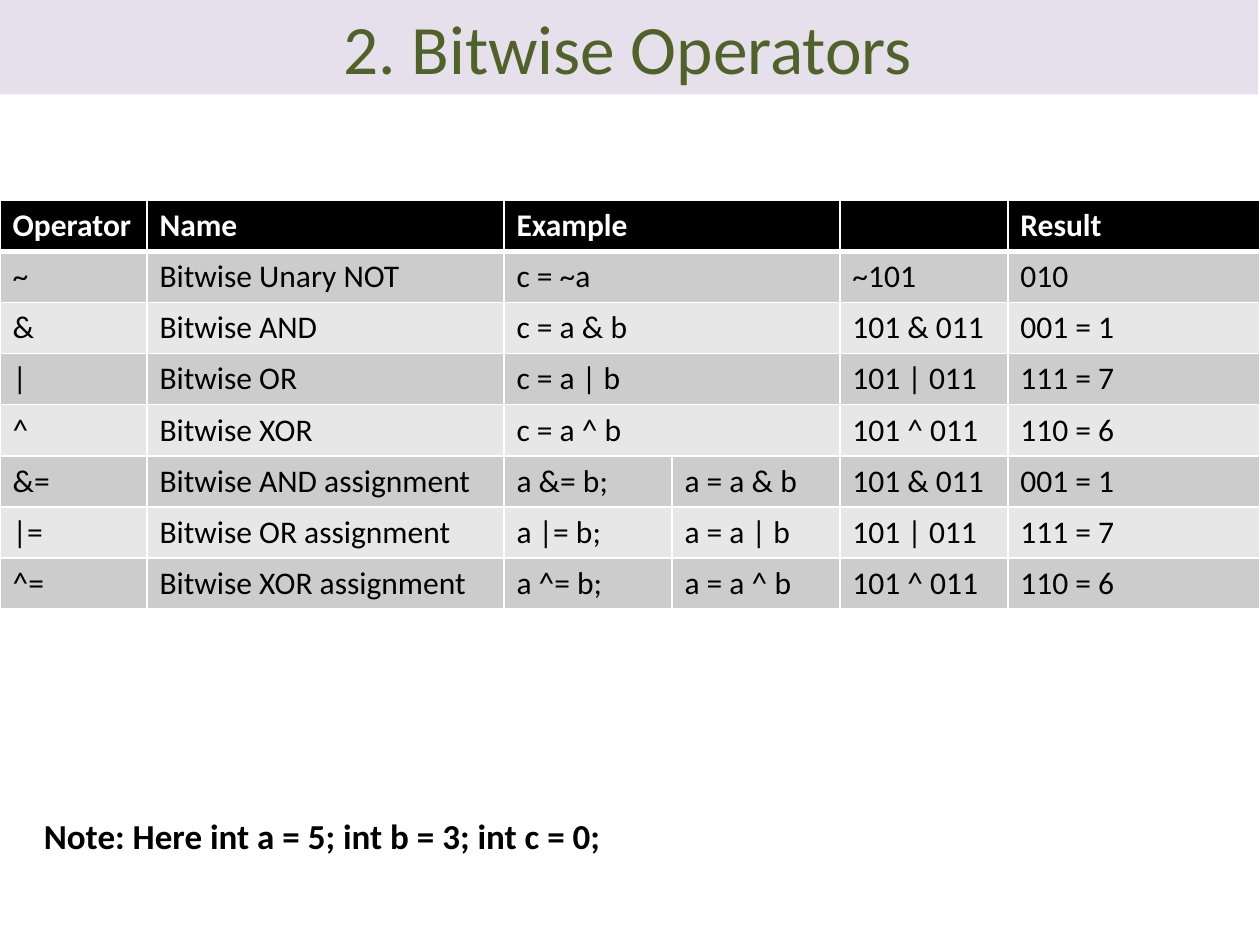
from lxml import etree
from pptx import Presentation
from pptx.dml.color import RGBColor
from pptx.enum import text
from pptx.oxml import ns
from pptx.util import Pt

FONT = "Calibri"
HUES = {"band": "E6E0EC", "title": "4F6228", "head": "000000", "ink": "000000",
        "odd": "CCCCCC", "even": "E7E7E7", "white": "FFFFFF"}
COLS = [84, 204, 96, 96, 96, 144]
ROWS = [
    ["Operator", "Name", "Example", None, "", "Result"],
    ["~", "Bitwise Unary NOT", "c = ~a", None, "~101", "010"],
    ["&", "Bitwise AND", "c = a & b", None, "101 & 011", "001 = 1"],
    ["|", "Bitwise OR", "c = a | b", None, "101 | 011", "111 = 7"],
    ["^", "Bitwise XOR", "c = a ^ b", None, "101 ^ 011", "110 = 6"],
    ["&=", "Bitwise AND assignment", "a &= b;", "a = a & b", "101 & 011", "001 = 1"],
    ["|=", "Bitwise OR assignment", "a |= b;", "a = a | b", "101 | 011", "111 = 7"],
    ["^=", "Bitwise XOR assignment", "a ^= b;", "a = a ^ b", "101 ^ 011", "110 = 6"],
]


def color(name):
    """Return the named colour."""
    return RGBColor.from_string(HUES[name])


def write(para, words, size, hue, bold=False):
    """Add one styled run to a paragraph."""
    run = para.add_run()
    run.text = words
    font = run.font
    font.name, font.size, font.bold = FONT, Pt(size), bold
    font.color.rgb = color(hue)


def rule(cell, side, width):
    """Give one side of a cell a solid white border."""
    line = etree.SubElement(cell._tc.get_or_add_tcPr(), ns.qn(f"a:ln{side}"),
                            w=str(Pt(width)))
    fill = etree.SubElement(line, ns.qn("a:solidFill"))
    etree.SubElement(fill, ns.qn("a:srgbClr"), val=HUES["white"])


def head(slide, left, top, width, height):
    """Format the title as a tinted band."""
    title = slide.shapes.title
    title.left, title.top, title.width, title.height = map(Pt, (left, top, width, height))
    title.fill.solid()
    title.fill.fore_color.rgb = color("band")
    frame = title.text_frame
    frame.auto_size = text.MSO_AUTO_SIZE.NONE
    frame.vertical_anchor = text.MSO_ANCHOR.MIDDLE
    para = frame.paragraphs[0]
    para.alignment = text.PP_ALIGN.CENTER
    write(para, "2. Bitwise Operators", 39.6, "title")


def grid(slide, left, top, width, height):
    """Build the operator table, merging example cells that have no second part."""
    table = slide.shapes.add_table(len(ROWS), len(COLS), Pt(left), Pt(top),
                                   Pt(width), Pt(height)).table
    for col, size in zip(table.columns, COLS):
        col.width = Pt(size * width / sum(COLS))
    for r, row in enumerate(ROWS):
        table.rows[r].height = Pt(height / len(ROWS))
        hue = "head" if r == 0 else "odd" if r % 2 else "even"
        for c, words in enumerate(row):
            cell = table.cell(r, c)
            for side in "LRTB":
                thick = (r, side) in ((0, "B"), (1, "T"))
                rule(cell, side, 3 if thick else 1)
            cell.fill.solid()
            cell.fill.fore_color.rgb = color(hue)
            if words:
                write(cell.text_frame.paragraphs[0], words, 18,
                      "ink" if r else "white", r == 0)
            elif words is None:
                table.cell(r, c - 1).merge(cell)


def note(slide, left, top, width, height):
    """Place the note on the starting values."""
    box = slide.shapes.add_textbox(Pt(left), Pt(top), Pt(width), Pt(height))
    frame = box.text_frame
    frame.word_wrap = True
    frame.auto_size = text.MSO_AUTO_SIZE.SHAPE_TO_FIT_TEXT
    write(frame.paragraphs[0], "Note: Here int a = 5; int b = 3; int c = 0;",
          20, "ink", True)


def main():
    """Build and save the slide."""
    deck = Presentation()
    deck.slide_width, deck.slide_height = Pt(720), Pt(540)
    slide = deck.slides.add_slide(deck.slide_layouts[5])
    head(slide, -1.2, 0, 720, 54)
    grid(slide, 0, 114.5, 720, 233.6)
    note(slide, 18, 462, 438, 31.5)
    deck.save("out.pptx")


if __name__ == "__main__":
    main()
